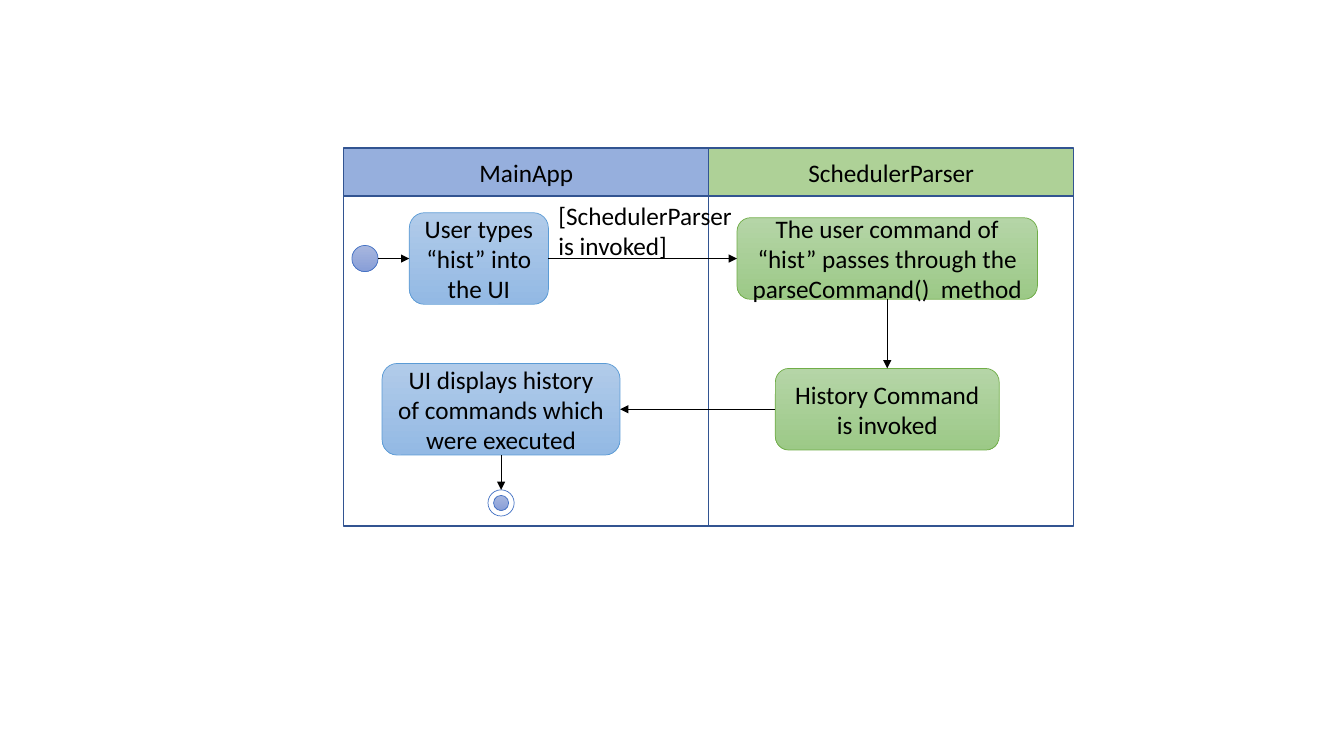
from lxml import etree
from pptx import Presentation
from pptx.dml.color import RGBColor
from pptx.enum.shapes import MSO_CONNECTOR, MSO_SHAPE
from pptx.enum.text import MSO_ANCHOR, MSO_AUTO_SIZE, PP_ALIGN
from pptx.oxml.ns import qn
from pptx.util import Inches, Pt

RECT, ROUND, OVAL = MSO_SHAPE.RECTANGLE, MSO_SHAPE.ROUNDED_RECTANGLE, MSO_SHAPE.OVAL
STRAIGHT = MSO_CONNECTOR.STRAIGHT
CENTER, LEFT = PP_ALIGN.CENTER, PP_ALIGN.LEFT
MIDDLE, TOP = MSO_ANCHOR.MIDDLE, MSO_ANCHOR.TOP
GROW = MSO_AUTO_SIZE.SHAPE_TO_FIT_TEXT

CELL = Inches(0.1)  # one grid column or row
LANE_X, LANE_W = 34.1, 36.2
HEAD_Y, HEAD_H = 14.7, 4.75
BODY_Y, BODY_H = 19.5, 32.7
ROW_1, ROW_2, ROW_END = 25.65, 40.6, 49.9  # centre rows
COL_START, COL_INPUT, COL_OUTPUT, COL_PARSER = 36.2, 47.5, 49.7, 88
DOT = 2.6

# Connection sites of a box, in their numbered order
SITE_TOP, SITE_LEFT, SITE_BOTTOM, SITE_RIGHT = range(4)
SITE_SHARES = ((0.5, 0), (0, 0.5), (0.5, 1), (1, 0.5))

COLORS = {
    "black": "000000", "white": "FFFFFF", "lane_line": "325491",
    "app": "4472C4", "parser": "70AD47", "step": "5B9BD5",
}
GRADIENTS = {
    "app": ("A8B7DF", "889ED7"),
    "step": ("B1CBE9", "93B9E4"),
    "parser": ("B5D5A7", "9CC987"),
}


def grid(*cells):
    return [round(n * CELL) for n in cells]


def rgb(name):
    return RGBColor.from_string(COLORS[name])


def add_text(s, text, size=18, color="black", align=CENTER, anchor=MIDDLE):
    tf = s.text_frame
    tf.word_wrap = True
    tf.vertical_anchor = anchor
    p = tf.paragraphs[0]
    p.alignment = align
    r = p.add_run()
    r.text = text
    r.font.name = "Calibri"
    r.font.size = Pt(size)
    r.font.color.rgb = rgb(color)


def add_box(shapes, kind, x, y, w, h, line, width=0.5):
    s = shapes.add_shape(kind, *grid(x, y, w, h))
    s.shadow.inherit = False
    s.fill.background()
    s.line.color.rgb = rgb(line)
    s.line.width = Pt(width)
    return s


def fill_solid(s, color, alpha=100):
    s.fill.solid()
    s.fill.fore_color.rgb = rgb(color)
    if alpha < 100:
        clr = s._element.spPr.find(qn("a:solidFill"))[0]
        etree.SubElement(clr, qn("a:alpha"), val=str(alpha * 1000))


def fill_gradient(s, name):
    """Fill from light at the top to dark at the bottom."""
    s.fill.gradient()
    s.fill.gradient_angle = 270
    for stop, color in zip(s.fill.gradient_stops, GRADIENTS[name]):
        stop.color.rgb = RGBColor.from_string(color)


def add_lane(shapes, index, title, color):
    x = LANE_X + index * LANE_W
    add_box(shapes, RECT, x, BODY_Y, LANE_W, BODY_H, "lane_line", 1)
    head = add_box(shapes, RECT, x, HEAD_Y, LANE_W, HEAD_H, "lane_line", 1)
    fill_solid(head, color, alpha=56)
    add_text(head, title)


def add_step(shapes, text, cx, cy, w, h, color):
    """Rounded activity box placed by its centre."""
    s = add_box(shapes, ROUND, cx - w / 2, cy - h / 2, w, h, color)
    fill_gradient(s, color)
    add_text(s, text)
    return s


def add_dot(shapes, cx, cy, d):
    return add_box(shapes, OVAL, cx - d / 2, cy - d / 2, d, d, "app")


def add_end(shapes, cx, cy):
    group = shapes.add_group_shape().shapes
    ring = add_dot(group, cx, cy, DOT)
    fill_solid(ring, "white")
    fill_gradient(add_dot(group, cx, cy, 1.5), "app")
    return ring


def site_point(s, site):
    across, down = SITE_SHARES[site]
    return round(s.left + across * s.width), round(s.top + down * s.height)


def add_arrow(shapes, start, start_site, end, end_site):
    """Arrow between two sites, glued to those that are on step boxes."""
    c = shapes.add_connector(STRAIGHT, *site_point(start, start_site),
                             *site_point(end, end_site))
    if start.auto_shape_type == ROUND:
        c.begin_connect(start, start_site)
    if end.auto_shape_type == ROUND:
        c.end_connect(end, end_site)
    c.line.color.rgb = rgb("black")
    c.line.width = Pt(0.5)
    sp_pr = c._element.spPr
    etree.SubElement(sp_pr.find(qn("a:ln")), qn("a:tailEnd"), type="triangle")
    etree.SubElement(sp_pr, qn("a:effectLst"))


def add_label(shapes, text, x, y, w, h):
    s = shapes.add_textbox(*grid(x, y, w, h))
    add_text(s, text, align=LEFT, anchor=TOP)
    s.text_frame.auto_size = GROW


def main():
    prs = Presentation()
    prs.slide_width, prs.slide_height = Inches(13.33), Inches(7.5)
    shapes = prs.slides.add_slide(prs.slide_layouts[6]).shapes

    add_lane(shapes, 0, "MainApp", "app")
    add_lane(shapes, 1, "SchedulerParser", "parser")

    start = add_dot(shapes, COL_START, ROW_1, DOT)
    fill_gradient(start, "app")
    typed = add_step(shapes, "User types “hist” into the UI",
                     COL_INPUT, ROW_1, 13.8, 9.1, "step")
    parsed = add_step(shapes, "The user command of “hist” passes through the "
                      "parseCommand()  method", COL_PARSER, ROW_1, 29.8, 8.1, "parser")
    invoked = add_step(shapes, "History Command is invoked",
                       COL_PARSER, ROW_2, 22.2, 8.1, "parser")
    shown = add_step(shapes, "UI displays history of commands which were executed",
                     COL_OUTPUT, ROW_2, 23.6, 9.1, "step")
    end = add_end(shapes, COL_OUTPUT, ROW_END)
    add_label(shapes, "[SchedulerParser is invoked]", 54.4, 19.4, 20.2, 7.1)

    add_arrow(shapes, start, SITE_RIGHT, typed, SITE_LEFT)
    add_arrow(shapes, typed, SITE_RIGHT, parsed, SITE_LEFT)
    add_arrow(shapes, parsed, SITE_BOTTOM, invoked, SITE_TOP)
    add_arrow(shapes, invoked, SITE_LEFT, shown, SITE_RIGHT)
    add_arrow(shapes, shown, SITE_BOTTOM, end, SITE_TOP)

    prs.save("out.pptx")


if __name__ == "__main__":
    main()
